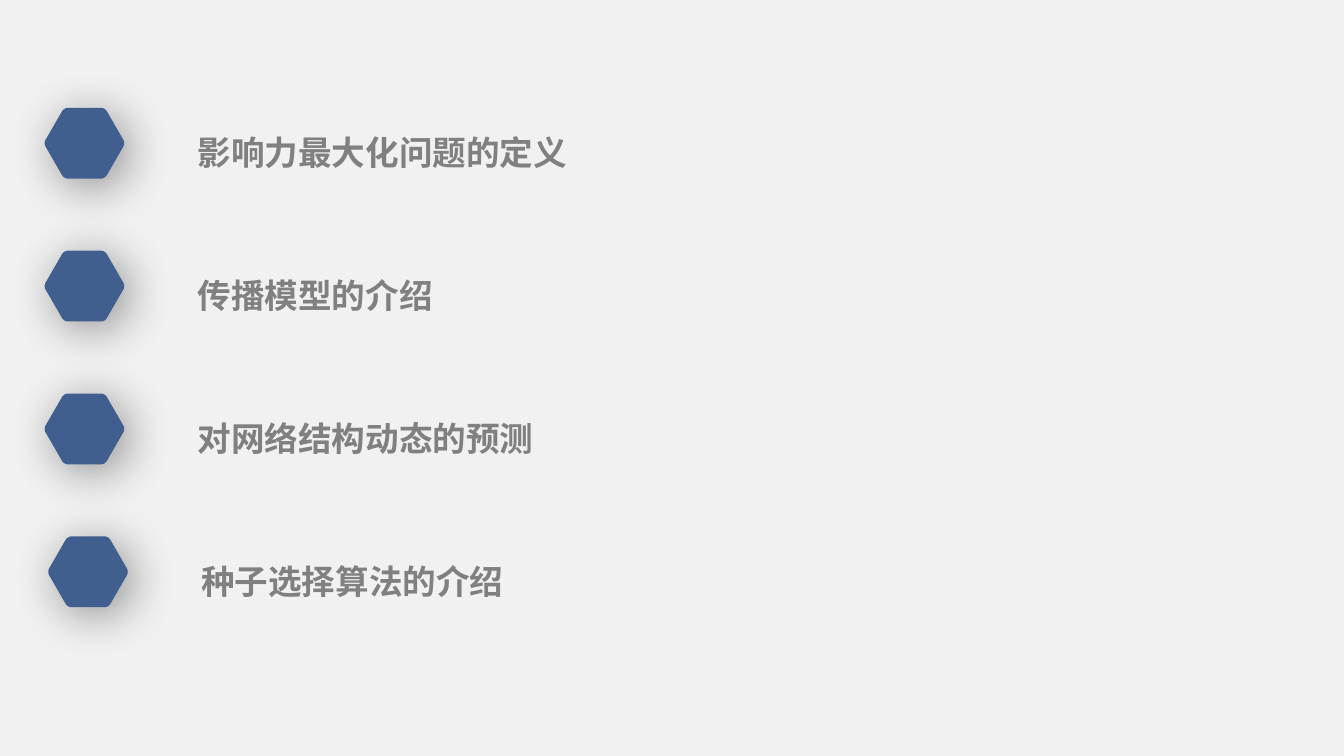
from dataclasses import dataclass
from math import cos, pi, radians, sin

from lxml.etree import SubElement
from pptx import Presentation
from pptx.dml.color import RGBColor
from pptx.dml.fill import FillFormat
from pptx.enum.text import MSO_AUTO_SIZE, PP_ALIGN
from pptx.oxml.ns import qn
from pptx.shapes.autoshape import Shape
from pptx.slide import Slide
from pptx.util import Cm, Pt

FONT = "Noto Sans CJK SC"
PITCH = 3.6  # cm between topics
RADIUS, ROUND = 1.03, 0.18  # cm, hexagon and its corners


@dataclass
class Topic:
    text: str
    shift: float = 0  # cm to the right


TOPICS = [
    Topic("影响力最大化问题的定义"),
    Topic("传播模型的介绍"),
    Topic("对网络结构动态的预测"),
    Topic("种子选择算法的介绍", 0.09),
]


def paint(fill: FillFormat, color: str) -> None:
    fill.solid()
    fill.fore_color.rgb = RGBColor.from_string(color)


def add_shadow(shape: Shape) -> None:
    shape.shadow.inherit = False
    effects = shape._element.spPr.find(qn("a:effectLst"))
    outer = SubElement(effects, qn("a:outerShdw"), blurRad=str(Pt(34)),
                       dist=str(Pt(7)), dir="2700000", algn="tl", rotWithShape="0")
    color = SubElement(outer, qn("a:srgbClr"), val="000000")
    SubElement(color, qn("a:alpha"), val="40000")


def add_hexagon(slide: Slide, x: float, y: float) -> None:
    """Draw a hexagon with rounded corners around the centre x, y."""
    reach = RADIUS - ROUND / cos(pi / 6)
    points = []
    for corner in range(0, 360, 60):
        a = radians(corner)
        for turn in range(-30, 31, 10):
            b = radians(corner + turn)
            points.append((Cm(x + reach * cos(a) + ROUND * cos(b)),
                           Cm(y + reach * sin(a) + ROUND * sin(b))))
    outline = slide.shapes.build_freeform(*points[0])
    outline.add_line_segments(points[1:], close=True)
    shape = outline.convert_to_shape()
    paint(shape.fill, "405F8F")
    shape.line.fill.background()
    add_shadow(shape)


def add_label(slide: Slide, x: float, y: float, text: str) -> None:
    frame = slide.shapes.add_textbox(Cm(x), Cm(y), Cm(21.2), Cm(1.63)).text_frame
    frame.word_wrap = True
    frame.auto_size = MSO_AUTO_SIZE.SHAPE_TO_FIT_TEXT
    para = frame.paragraphs[0]
    para.text = text
    para.alignment = PP_ALIGN.JUSTIFY
    para.line_spacing = 1.5
    font = para.font
    font.name, font.size, font.bold = FONT, Pt(24), True
    paint(font.fill, "808080")
    props = para._p.pPr.find(qn("a:defRPr"))
    SubElement(props, qn("a:ea"), typeface=FONT)


def main() -> None:
    deck = Presentation()
    deck.slide_width, deck.slide_height = Cm(33.88), Cm(19.05)
    slide = deck.slides.add_slide(deck.slide_layouts[6])
    paint(slide.background.fill, "F1F1F1")
    for row, topic in enumerate(TOPICS):
        drop = row * PITCH
        add_hexagon(slide, 2.13 + topic.shift, 3.61 + drop)
        add_label(slide, 4.73 + topic.shift, 2.7 + drop, topic.text)
    deck.save("out.pptx")


if __name__ == "__main__":
    main()
